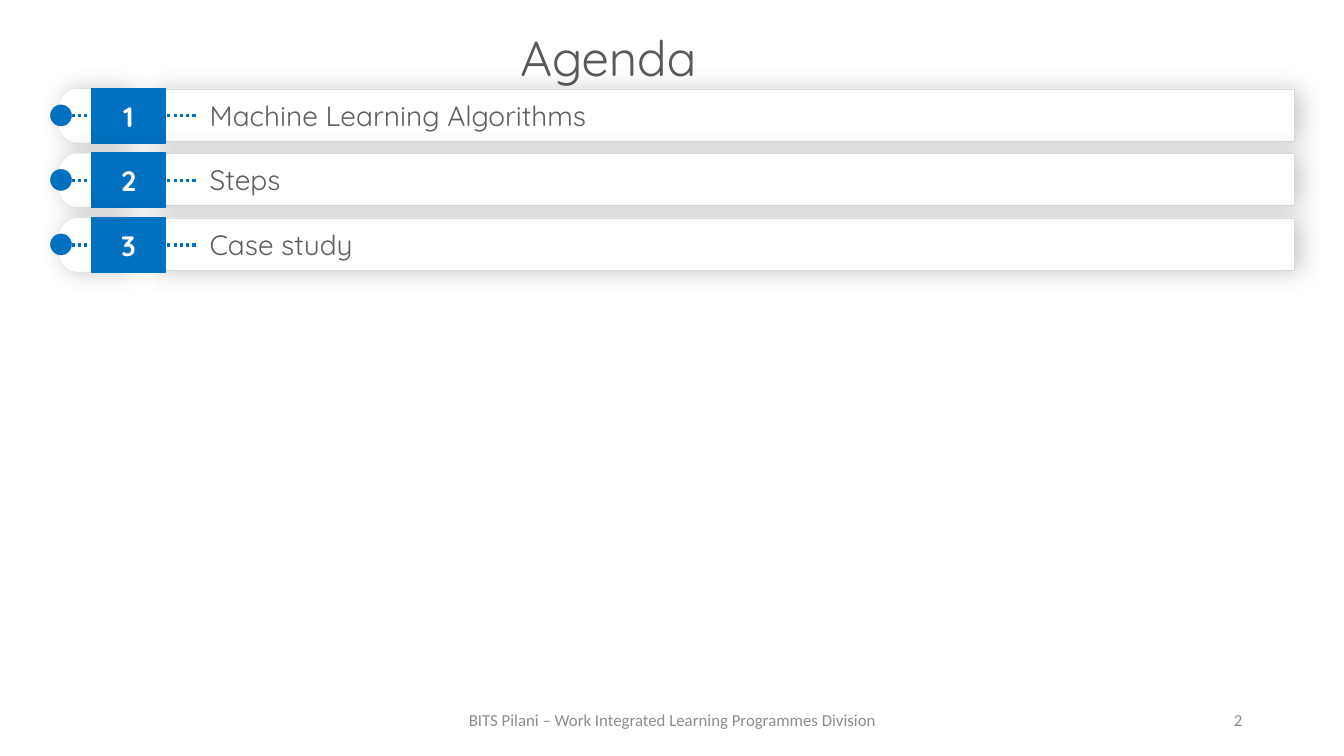
from lxml import etree
from pptx import Presentation, util as u
from pptx.dml.color import RGBColor
from pptx.enum import dml, shapes, text
from pptx.oxml.ns import qn

KIND = shapes.MSO_SHAPE
LEFT, MID, RIGHT = text.PP_ALIGN.LEFT, text.PP_ALIGN.CENTER, text.PP_ALIGN.RIGHT


def color(code):
    return RGBColor.from_string(code)


def write(shape, words, size=20, font="Quicksand", ink="5E5E5E",
          bold=False, align=LEFT, inset=0.1, space=1):
    frame = shape.text_frame
    frame.word_wrap = True
    frame.vertical_anchor = text.MSO_ANCHOR.MIDDLE
    frame.margin_left = u.Inches(inset)
    para = frame.paragraphs[0]
    para.alignment = align
    para.line_spacing = space
    run = para.add_run()
    run.text = words
    run.font.size = u.Pt(size)
    run.font.name = font
    run.font.bold = bold
    run.font.color.rgb = color(ink)


class Deck:
    blue, white, edge = "0070C0", "FFFFFF", "D9D9D9"

    def __init__(self):
        self.file = Presentation()
        self.file.slide_width = u.Inches(13.33)
        self.file.slide_height = u.Inches(7.5)
        self.slide = self.file.slides.add_slide(self.file.slide_layouts[6])

    def label(self, box, words, **style):
        write(self.slide.shapes.add_textbox(*map(u.Inches, box)), words, **style)

    def group(self):
        return self.slide.shapes.add_group_shape().shapes

    def shape(self, home, kind, box, fill, line, width=0.25):
        item = home.add_shape(kind, *map(u.Inches, box))
        item.shadow.inherit = False
        item.fill.solid()
        item.fill.fore_color.rgb = color(fill)
        item.line.color.rgb = color(line)
        item.line.width = u.Pt(width)
        return item

    def card(self, home, kind, box):
        """White panel with a soft shadow."""
        item = self.shape(home, kind, box, self.white, self.edge)
        glow = etree.SubElement(
            item._element.spPr.find(qn("a:effectLst")), qn("a:outerShdw"),
            blurRad=str(u.Pt(18)), dist=str(u.Pt(3)), dir="0",
            algn="ctr", rotWithShape="0")
        tint = etree.SubElement(glow, qn("a:srgbClr"), val="000000")
        etree.SubElement(tint, qn("a:alpha"), val="22000")
        return item

    def dots(self, home, left, y, length=0.31):
        """Dotted horizontal line."""
        ends = map(u.Inches, (left, y, left + length, y))
        item = home.add_connector(shapes.MSO_CONNECTOR.STRAIGHT, *ends)
        item.line.color.rgb = color(self.blue)
        item.line.width = u.Pt(2.25)
        item.line.dash_style = dml.MSO_LINE.ROUND_DOT
        etree.SubElement(item._element.spPr, qn("a:effectLst"))

    def row(self, top, number, topic):
        home = self.group()
        # White panels
        tab = self.card(home, KIND.ROUNDED_RECTANGLE, (0.58, top, 0.77, 0.54))
        tab.adjustments[0] = 0.344
        bar = self.card(home, KIND.RECTANGLE, (1.48, top, 11.36, 0.52))
        write(bar, topic, inset=0.6)
        # Dotted lines and end dot
        for left in (1.66, 0.65):
            self.dots(home, left, top + 0.27)
        self.shape(home, KIND.OVAL, (0.5, top + 0.16, 0.21, 0.21),
                   self.blue, self.blue)
        # Number block
        self.shape(home, KIND.RECTANGLE, (0.91, top, 0.73, 0.54),
                   self.blue, self.blue, 1)
        badge = self.shape(home, KIND.RECTANGLE, (1.04, top + 0.05, 0.47, 0.44),
                           self.blue, self.blue, 0.75)
        write(badge, str(number), ink=self.white, bold=True, align=MID)


def main():
    deck = Deck()

    # Footer and title
    foot = dict(size=12, font="Calibri", ink="8C8C8C")
    deck.label((4.42, 6.94, 4.5, 0.4),
               "BITS Pilani – Work Integrated Learning Programmes Division",
               align=MID, **foot)
    deck.label((9.42, 6.94, 3, 0.4), "2", align=RIGHT, **foot)
    deck.label((4.45, 0.22, 3.17, 0.76), "Agenda",
               size=35.1, ink="595959", align=MID, space=0.9)

    # Agenda rows
    topics = ("Machine Learning Algorithms", "Steps", "Case study")
    for i, topic in enumerate(topics):
        deck.row(0.88 + 0.64 * i, i + 1, topic)

    deck.file.save("out.pptx")


if __name__ == "__main__":
    main()
